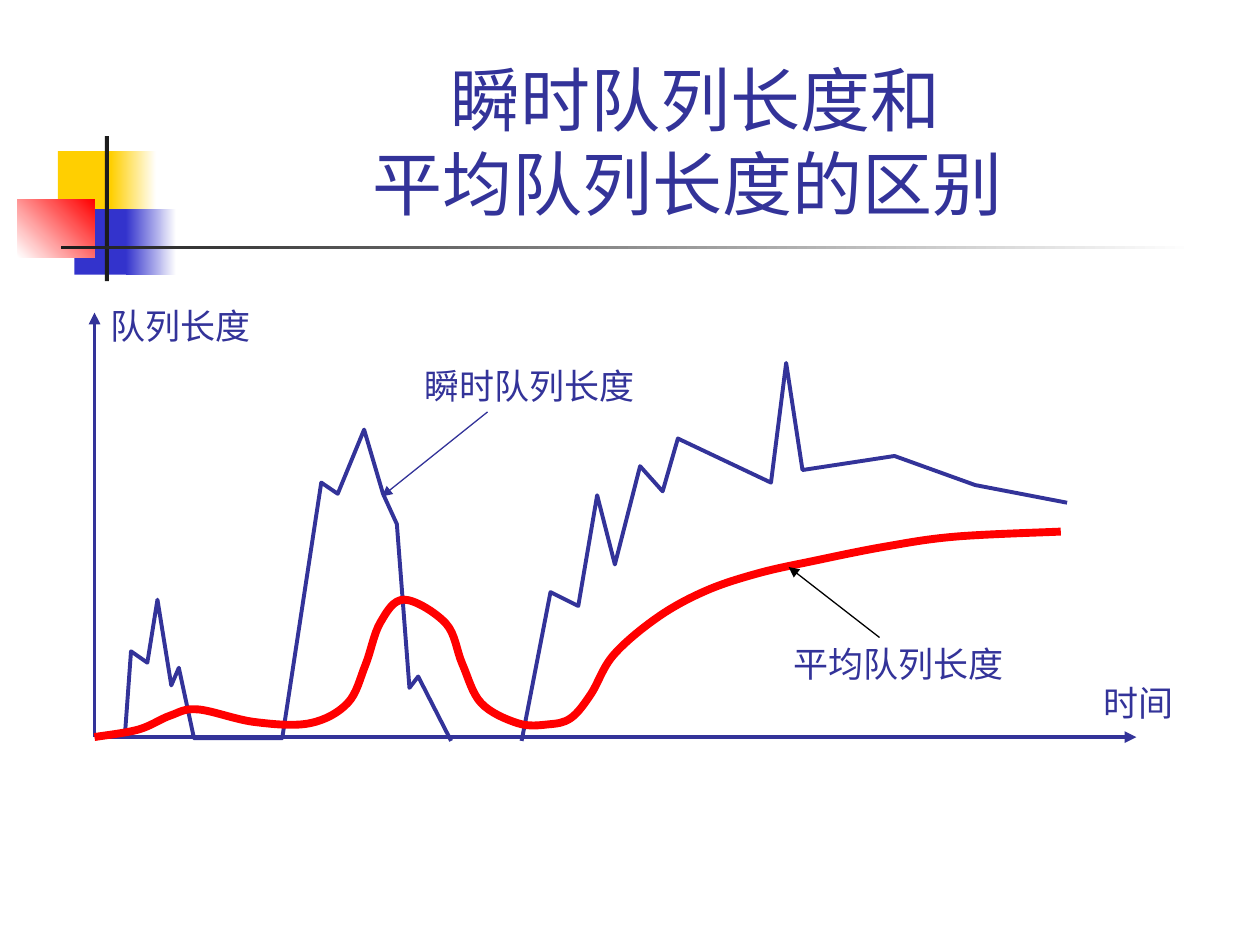
from pptx import Presentation
from pptx.dml.color import RGBColor
from pptx.enum.shapes import MSO_CONNECTOR as Connector, MSO_SHAPE as Shape
from pptx.enum.text import MSO_ANCHOR as Anchor, MSO_AUTO_SIZE as AutoSize, PP_ALIGN as Align
from pptx.oxml.ns import qn
from pptx.util import Pt
from lxml.etree import SubElement

COLORS = {
    "ink": "333399", "red": "FF0000", "yellow": "FFCF01", "blue": "3333CC",
    "dark": "1C1C1C", "white": "FFFFFF", "black": "000000",
}

# Outlines as x, y in points
FIRST_BURSTS = [
    (71.3, 421.2), (74.9, 372.2), (84.2, 378.7), (90, 342.7), (97.9, 391.7),
    (102.2, 381.6), (110.9, 421.9), (161.3, 421.9), (183.6, 275.8), (193, 282.2),
    (208.1, 245.5), (218.9, 282.2), (226.8, 299.5), (234, 393.1), (239, 386.6),
    (257.8, 423.4),
]
LONG_BURST = [
    (298.1, 423.4), (314.6, 338.4), (330.5, 346.3), (341.3, 283), (351.4, 322.6),
    (365.8, 266.4), (378.7, 280.8), (387.4, 250.6), (440.6, 275.8), (449.3, 207.4),
    (458.6, 268.6), (511.2, 260.6), (557.3, 277.2), (609.8, 287.3),
]
AVERAGE = [
    (54, 421.2), (79.2, 416.9), (97.2, 409), (113, 405.4), (145.4, 412.6),
    (177.1, 413.3), (198.7, 401.8), (208.8, 380.2), (217.4, 355.7), (231.1, 342.7),
    (254.9, 356.4), (264.2, 379.4), (275, 401.8), (295.9, 413.3), (313.2, 414),
    (326.2, 410.4), (337.7, 396.7), (350.6, 374.4), (375.8, 352.8), (403.2, 337.7),
    (433.4, 327.6), (465.8, 320.4), (505.4, 312.5), (545.8, 306.7), (606.2, 303.8),
]


def rgb(name):
    return RGBColor.from_string(COLORS[name])


class QueueSlide:
    title_font, label_font = "Arial", "Times New Roman"
    title_size, label_size = Pt(40), Pt(20)

    def __init__(self, presentation):
        self.slide = presentation.slides.add_slide(presentation.slide_layouts[5])
        self.shapes = self.slide.shapes

    def title(self, text, left, top, width, height):
        shape = self.shapes.title
        shape.left, shape.top, shape.width, shape.height = map(Pt, (left, top, width, height))
        frame = shape.text_frame
        frame.text = text
        frame.auto_size = AutoSize.NONE
        frame.vertical_anchor = Anchor.BOTTOM
        paragraph = frame.paragraphs[0]
        paragraph.alignment = Align.CENTER
        self.style(paragraph, self.title_font, self.title_size)

    def label(self, text, left, top, width, height=31):
        frame = self.shapes.add_textbox(*map(Pt, (left, top, width, height))).text_frame
        frame.text = text
        frame.word_wrap = False
        frame.auto_size = AutoSize.SHAPE_TO_FIT_TEXT
        self.style(frame.paragraphs[0], self.label_font, self.label_size)

    def style(self, paragraph, name, size):
        font = paragraph.font
        font.name, font.size = name, size
        font.color.rgb = rgb("ink")

    def block(self, box, start, end=None, angle=0):
        """Draw a rectangle, solid or fading from start to end."""
        shape = self.shapes.add_shape(Shape.RECTANGLE, *map(Pt, box))
        shape.shadow.inherit = False
        shape.line.fill.background()
        if end is None:
            shape.fill.solid()
            shape.fill.fore_color.rgb = rgb(start)
            return
        shape.fill.gradient()
        shape.fill.gradient_angle = angle
        for stop, color in zip(shape.fill.gradient_stops, (start, end)):
            stop.color.rgb = rgb(color)

    def arrow(self, start, end, color="ink", weight=0.75):
        line = self.shapes.add_connector(Connector.STRAIGHT, *map(Pt, start + end))
        line.line.color.rgb = rgb(color)
        line.line.width = Pt(weight)
        SubElement(line.line._get_or_add_ln(), qn("a:tailEnd"), type="triangle")
        SubElement(line.element.spPr, qn("a:effectLst"))

    def curve(self, points, color="ink", weight=2.25, smooth=False):
        points = [(Pt(x), Pt(y)) for x, y in points]
        builder = self.shapes.build_freeform(*points[0])
        builder.add_line_segments(points[1:], close=False)
        shape = builder.convert_to_shape()
        shape.shadow.inherit = False
        shape.fill.background()
        shape.line.color.rgb = rgb(color)
        shape.line.width = Pt(weight)
        if smooth:
            self.smooth(shape, points)

    def smooth(self, shape, points):
        """Turn straight segments into Catmull-Rom Bezier segments."""
        padded = [points[0], *points, points[-1]]
        segments = list(shape.element.iter(qn("a:lnTo")))
        for segment, before, start, end, after in zip(
                segments, padded, padded[1:], padded[2:], padded[3:]):
            first = [s + (e - b) / 6 for b, s, e in zip(before, start, end)]
            second = [e - (a - s) / 6 for s, e, a in zip(start, end, after)]
            bezier = segment.makeelement(qn("a:cubicBezTo"))
            for x, y in (first, second, end):
                SubElement(bezier, qn("a:pt"), x=str(round(x - shape.left)),
                           y=str(round(y - shape.top)))
            segment.getparent().replace(segment, bezier)


def main():
    presentation = Presentation()
    presentation.slide_width, presentation.slide_height = Pt(720), Pt(540)
    page = QueueSlide(presentation)

    # Corner ornament and rule
    page.block((33.1, 86.4, 34.6, 37.4), "yellow")
    page.block((63.4, 86.4, 25.9, 37.4), "yellow", "white")
    page.block((42.5, 119.5, 33.1, 37.4), "blue")
    page.block((72, 119.5, 28.8, 37.4), "blue", "white")
    page.block((10.1, 113.8, 43.9, 33.1), "white", "red", angle=45)
    page.block((60, 77.8, 2.2, 82.8), "dark")
    page.block((34.6, 140.4, 648, 2.2), "dark", "white")

    page.title("瞬时队列长度和\v平均队列长度的区别 ", 90.7, 16.6, 613.4, 115.2)

    # Axes
    origin = (54, 421.2)
    page.label("队列长度", 56.2, 170.6, 94.3)
    page.arrow(origin, (649.4, 421.2), weight=2.25)
    page.arrow(origin, (54, 178.6), weight=2.25)
    page.label("时间", 623.5, 385.9, 54.7)

    # Instantaneous and average queue length
    page.curve(FIRST_BURSTS)
    page.curve(LONG_BURST)
    page.curve(AVERAGE, "red", 4.5, smooth=True)

    # Curve names with pointers
    page.label("瞬时队列长度", 235.4, 204.5, 134.6)
    page.label("平均队列长度", 446.4, 363.6, 134.6)
    page.arrow((278.6, 235.4), (218.2, 283.7))
    page.arrow((502.6, 364.3), (450.7, 324), "black")

    presentation.save("out.pptx")


if __name__ == "__main__":
    main()
